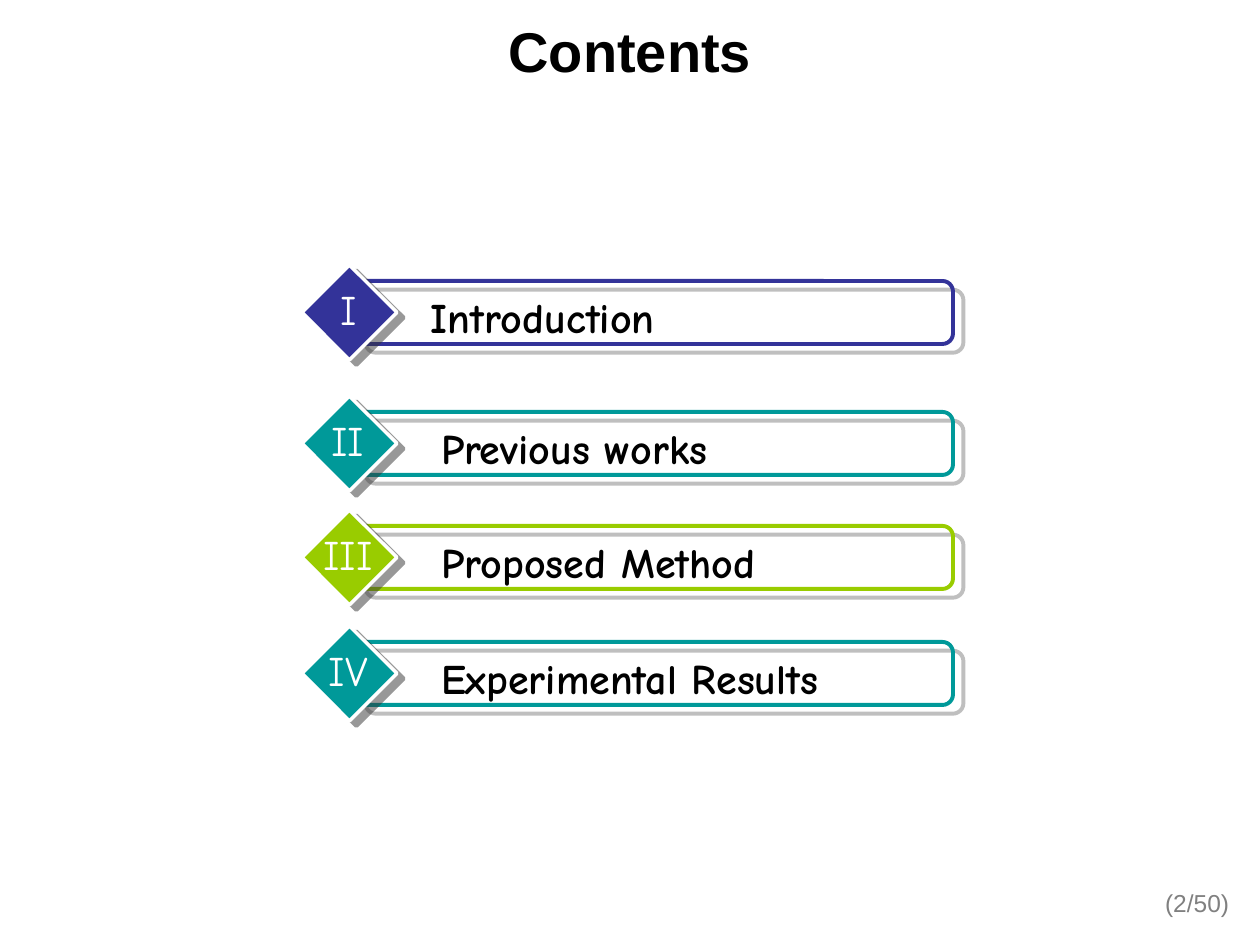
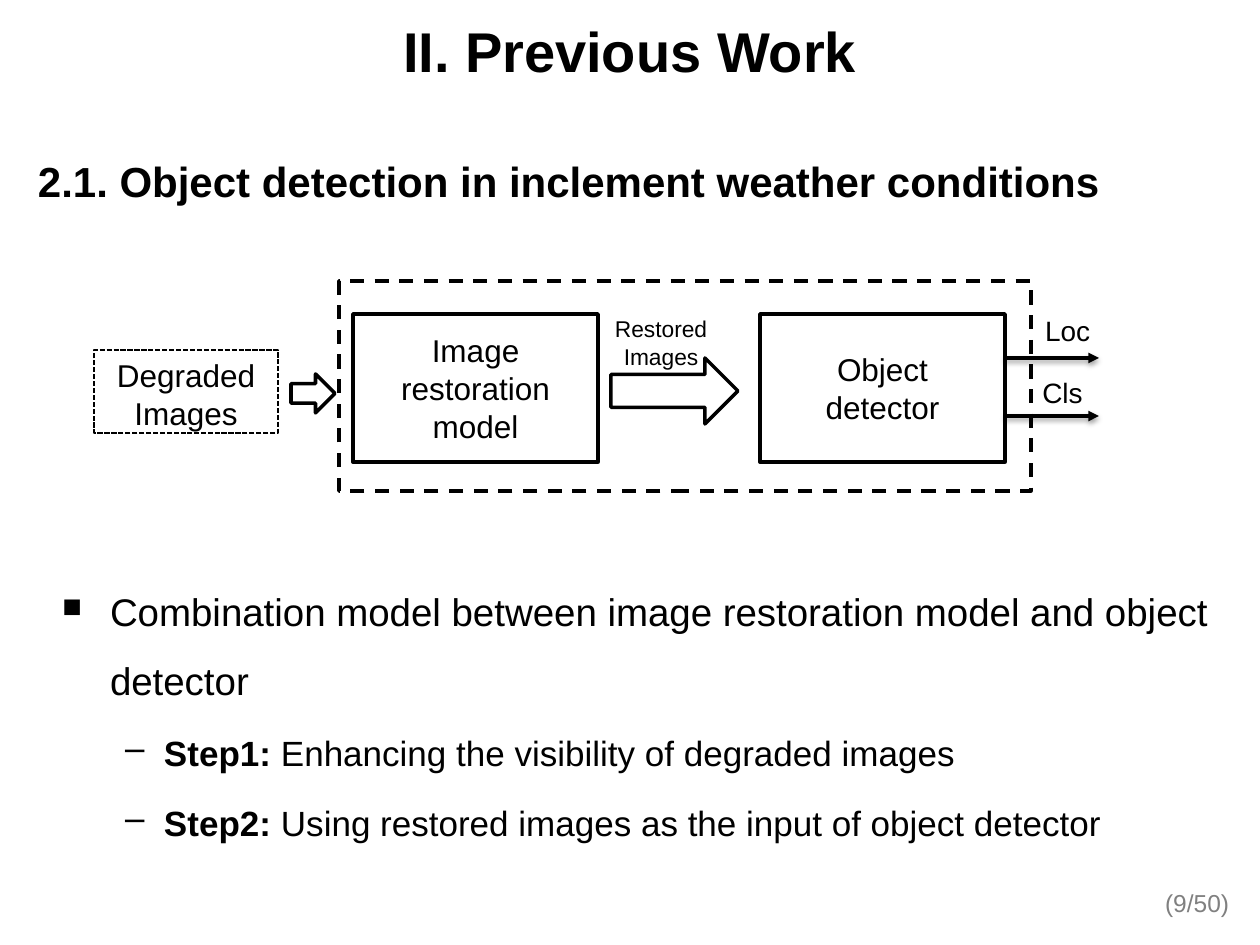
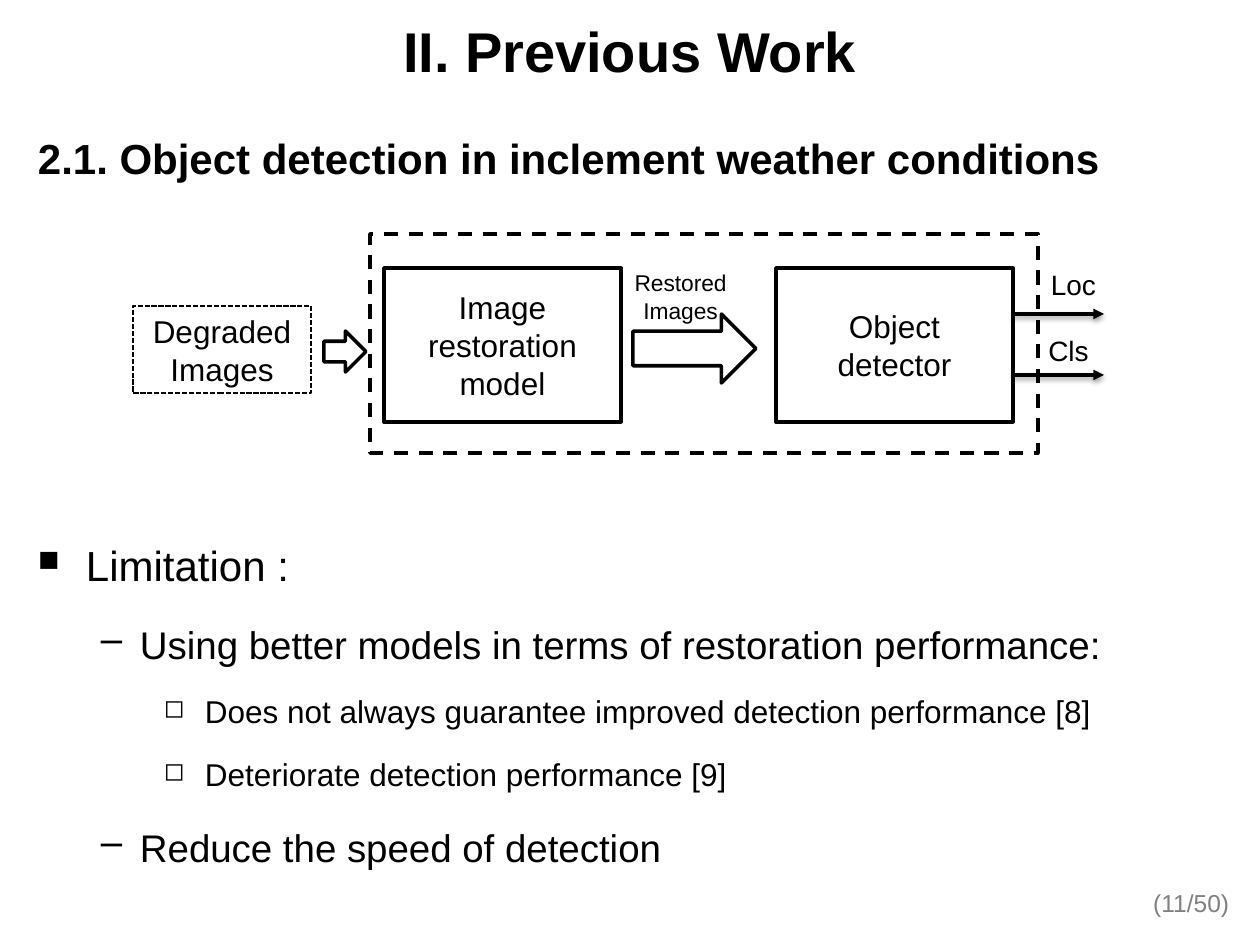
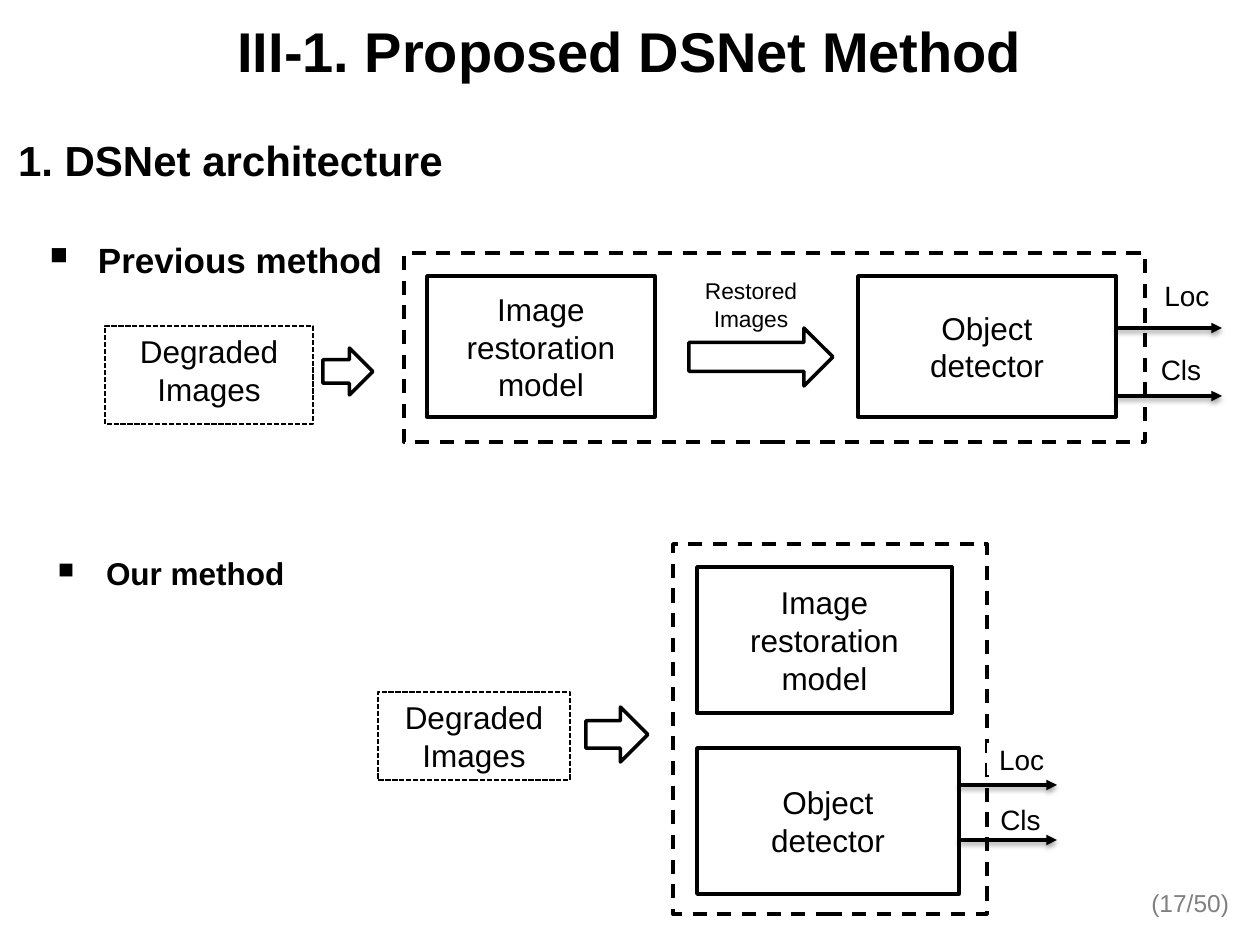
from lxml.etree import SubElement
from pptx import Presentation
from pptx.dml.color import RGBColor
from pptx.enum.dml import MSO_LINE as Dash
from pptx.enum.shapes import MSO_CONNECTOR as Connector, MSO_SHAPE as Shape
from pptx.enum.text import MSO_ANCHOR as Anchor, PP_ALIGN as Align
from pptx.oxml.ns import qn
from pptx.util import Emu, Pt

BLACK = RGBColor(0x00, 0x00, 0x00)
WHITE = RGBColor(0xFF, 0xFF, 0xFF)
GRAY = RGBColor(0x80, 0x80, 0x80)
DARK_GRAY = RGBColor(0x33, 0x33, 0x33)
INDIGO = RGBColor(0x33, 0x33, 0x99)
TEAL = RGBColor(0x00, 0x99, 0x99)
LIME = RGBColor(0x99, 0xCC, 0x00)

SANS = "Arial"
COMIC = "Comic Neue"
PAGE_COUNT = 50
PX_PER_INCH = 126
DEFAULT_INSETS = (13, 6, 13, 6)

BAR_SHADOW = (GRAY, 50, 0, 7.8, 40)
DIAMOND_SHADOW = (DARK_GRAY, 50, 0, 5, 37)
ARROW_SHADOW = (BLACK, 38, 3.1, 1.6, 90)

CONTENTS = [
    ("I", "Introduction", INDIGO, 265, 418, 49),
    ("II", "Previous works", TEAL, 396, 428, 72),
    ("III", "Proposed Method", LIME, 510, 428, 94),
    ("IV", "Experimental Results", TEAL, 626, 428, 77),
]

BULLETS = [("■", 70, 48, -48), ("–", 100, 102, -39), ("◻", 80, 167, -41)]

WEATHER_HEADING = "2.1. Object detection in inclement weather conditions"

COMBINATION = [
    (0, 22, ["Combination model between image restoration model and object detector"]),
    (1, 20, ["Step1: ", "Enhancing the visibility of degraded images"]),
    (1, 20, ["Step2: ", "Using restored images as the input of object detector"]),
]
LIMITATION = [
    (0, 24, ["Limitation :"]),
    (1, 22, ["Using better models in terms of restoration performance:"]),
    (2, 18, ["Does not always guarantee improved detection performance [8]"]),
    (2, 18, ["Deteriorate detection performance [9]"]),
    (1, 22, ["Reduce the speed of detection"]),
]

PART_STYLES = {
    "frame": dict(line=(BLACK, 2, Dash.DASH)),
    "degraded": dict(lines=["Degraded Images"], line=(BLACK, 1, Dash.SQUARE_DOT),
                     anchor=Anchor.TOP),
    "detector": dict(lines=["Object", "detector"], line=(BLACK, 2, None)),
    "caption": dict(lines=["Restored Images"], size=13, anchor=Anchor.TOP),
    "restoration": dict(lines=["Image restoration model"], line=(BLACK, 2, None)),
    "input": dict(kind=Shape.RIGHT_ARROW, line=(BLACK, 2, None)),
    "restored": dict(kind=Shape.RIGHT_ARROW, line=(BLACK, 2, None)),
    "loc_arrow": None,
    "cls_arrow": None,
    "loc": dict(lines=["Loc"], size=16, insets=(0, 0, 0, 0)),
    "cls": dict(lines=["Cls"], size=16, insets=(0, 0, 0, 0)),
}

PIPELINE = {
    "frame": (339, 281, 692, 210),
    "degraded": (94, 350, 184, 83),
    "detector": (760, 314, 245, 148),
    "caption": (593, 309, 136, 45),
    "restoration": (353, 314, 245, 148),
    "input": (291, 374, 44, 39),
    "restored": (611, 358, 127, 66),
    "loc_arrow": (1005, 358, 94, 0),
    "cls_arrow": (1005, 416, 94, 0),
    "loc": (1034, 314, 67, 32),
    "cls": (1040, 378, 45, 29),
}
LIMITATION_FRAME = (370, 234, 668, 219)
PREVIOUS_METHOD = {
    "frame": (404, 253, 741, 189),
    "degraded": (105, 326, 208, 98),
    "detector": (858, 276, 258, 141),
    "caption": (674, 271, 154, 54),
    "restoration": (427, 276, 228, 141),
    "input": (323, 348, 50, 47),
    "restored": (689, 328, 144, 58),
    "loc_arrow": (1116, 328, 106, 0),
    "cls_arrow": (1116, 396, 106, 0),
    "loc": (1149, 276, 76, 38),
    "cls": (1155, 352, 52, 34),
}
OUR_METHOD = {
    "frame": (673, 544, 314, 370),
    "degraded": (378, 692, 192, 88),
    "detector": (697, 748, 262, 146),
    "restoration": (697, 567, 255, 146),
    "input": (586, 707, 62, 55),
    "loc_arrow": (959, 785, 98, 0),
    "cls_arrow": (959, 840, 98, 0),
    "loc": (987, 743, 69, 32),
    "cls": (997, 805, 47, 29),
}


def px(length):
    return Emu(round(length * 914400 / PX_PER_INCH))


def place(box):
    return [px(length) for length in box]


def style_font(paragraph, size, color=BLACK, bold=False, name=SANS):
    font = paragraph.font
    font.size, font.bold, font.name = Pt(size), bold, name
    font.color.rgb = color


def set_frame(frame, anchor, insets, wrap=True):
    frame.word_wrap = wrap
    frame.vertical_anchor = anchor
    (frame.margin_left, frame.margin_top,
     frame.margin_right, frame.margin_bottom) = place(insets)


def write_lines(frame, lines, size, align=Align.LEFT, **font):
    for index, line in enumerate(lines):
        paragraph = frame.add_paragraph() if index else frame.paragraphs[0]
        paragraph.text = line
        paragraph.alignment = align
        style_font(paragraph, size, **font)


def add_text(parent, box, text, size, align=Align.LEFT, anchor=Anchor.TOP,
             insets=DEFAULT_INSETS, wrap=True, **font):
    frame = parent.shapes.add_textbox(*place(box)).text_frame
    set_frame(frame, anchor, insets, wrap)
    write_lines(frame, [text], size, align, **font)
    return frame


def add_shadow(shape, color, opacity, blur, distance, angle):
    properties = shape._element.spPr
    effects = properties.find(qn("a:effectLst"))
    if effects is None:
        effects = SubElement(properties, qn("a:effectLst"))
    shadow = SubElement(effects, qn("a:outerShdw"), blurRad=str(Pt(blur)),
                        dist=str(Pt(distance)), dir=str(angle * 60000),
                        algn="ctr", rotWithShape="0")
    tint = SubElement(shadow, qn("a:srgbClr"), val=str(color))
    SubElement(tint, qn("a:alpha"), val=str(opacity * 1000))


def add_shape(parent, box, kind=Shape.RECTANGLE, fill=WHITE, line=None, lines=(),
              size=18, anchor=Anchor.MIDDLE, insets=DEFAULT_INSETS, shadow=None):
    shape = parent.shapes.add_shape(kind, *place(box))
    shape.shadow.inherit = False
    if fill is None:
        shape.fill.background()
    else:
        shape.fill.solid()
        shape.fill.fore_color.rgb = fill
    if line:
        color, width, dash = line
        shape.line.color.rgb = color
        shape.line.width = Pt(width)
        shape.line.dash_style = dash
    else:
        shape.line.fill.background()
    if shadow:
        add_shadow(shape, *shadow)
    if lines:
        set_frame(shape.text_frame, anchor, insets)
        write_lines(shape.text_frame, lines, size, Align.CENTER)


def add_arrow(parent, box):
    left, top, width, height = box
    arrow = parent.shapes.add_connector(
        Connector.STRAIGHT, *place((left, top, left + width, top + height)))
    arrow.line.color.rgb = BLACK
    arrow.line.width = Pt(2)
    SubElement(arrow.line._get_or_add_ln(), qn("a:tailEnd"), type="triangle")
    add_shadow(arrow, *ARROW_SHADOW)


def add_diagram(slide, parts):
    group = slide.shapes.add_group_shape()
    for name, style in PART_STYLES.items():
        if name not in parts:
            continue
        if style is None:
            add_arrow(group, parts[name])
        else:
            add_shape(group, parts[name], **style)


def fit_diagram(parts, target):
    left, top, width, height = parts["frame"]
    scale_x, scale_y = target[2] / width, target[3] / height
    return {
        name: (round(target[0] + (x - left) * scale_x),
               round(target[1] + (y - top) * scale_y),
               round(w * scale_x), round(h * scale_y))
        for name, (x, y, w, h) in parts.items()
    }


def add_bullets(slide, box, items, bold=False):
    frame = slide.shapes.add_textbox(*place(box)).text_frame
    set_frame(frame, Anchor.MIDDLE, DEFAULT_INSETS)
    for index, (level, size, texts) in enumerate(items):
        paragraph = frame.add_paragraph() if index else frame.paragraphs[0]
        paragraph.level = level
        paragraph.line_spacing = 1.5
        if index:
            paragraph.space_before = Pt(round(size * 0.2, 1))
        mark, percent, margin, indent = BULLETS[level]
        properties = paragraph._p.get_or_add_pPr()
        properties.set("marL", str(px(margin)))
        properties.set("indent", str(px(indent)))
        SubElement(properties, qn("a:buSzPct"), val=str(percent * 1000))
        SubElement(properties, qn("a:buChar"), char=mark)
        style_font(paragraph, size, bold=bold)
        for text in texts:
            paragraph.add_run().text = text
        if len(texts) > 1:
            paragraph.runs[0].font.bold = True


def add_heading(slide, box, text):
    frame = add_text(slide, box, text, 24, anchor=Anchor.MIDDLE, bold=True)
    frame.paragraphs[0].line_spacing = 1.5


def add_slide(presentation, title, page):
    slide = presentation.slides.add_slide(presentation.slide_layouts[6])
    add_text(slide, (1137, 876, 112, 66), f"({page}/{PAGE_COUNT}) ", 14, Align.RIGHT,
             insets=(0, 12, 13, 6), color=GRAY)
    add_text(slide, (0, 0, 1260, 100), title, 32, Align.CENTER, Anchor.MIDDLE, bold=True)
    return slide


def add_contents(slide):
    for numeral, label, color, top, label_left, numeral_width in CONTENTS:
        group = slide.shapes.add_group_shape()
        add_shape(group, (355, top + 16, 598, 63), Shape.ROUNDED_RECTANGLE, None,
                  (color, 2.25, None), shadow=BAR_SHADOW)
        add_shape(group, (302, top, 95, 95), Shape.DIAMOND, color,
                  (WHITE, 2, None), shadow=DIAMOND_SHADOW)
        add_text(group, (label_left, top + 21, 472, 64), label, 24, bold=True, name=COMIC)
        add_text(group, (348 - numeral_width // 2, top + 13, numeral_width, 64), numeral, 24,
                 Align.CENTER, wrap=False, color=WHITE, name=COMIC)


def main():
    presentation = Presentation()
    presentation.slide_width, presentation.slide_height = px(1260), px(945)

    add_contents(add_slide(presentation, "Contents", 2))

    combination = add_slide(presentation, "II. Previous Work", 9)
    add_heading(combination, (25, 127, 1211, 82), WEATHER_HEADING)
    add_diagram(combination, PIPELINE)
    add_bullets(combination, (49, 520, 1188, 368), COMBINATION)

    limitation = add_slide(presentation, "II. Previous Work", 11)
    add_bullets(limitation, (25, 455, 1211, 474), LIMITATION)
    add_heading(limitation, (25, 104, 1211, 82), WEATHER_HEADING)
    add_diagram(limitation, fit_diagram(PIPELINE, LIMITATION_FRAME))

    method = add_slide(presentation, "III-1. Proposed DSNet Method", 17)
    add_bullets(method, (45, 530, 383, 67), [(0, 18, ["Our method"])], bold=True)
    add_diagram(method, {**OUR_METHOD})
    add_bullets(method, (37, 214, 368, 69), [(0, 20, ["Previous method"])], bold=True)
    add_diagram(method, PREVIOUS_METHOD)
    add_heading(method, (5, 106, 486, 82), "1. DSNet architecture")

    presentation.save("out.pptx")


if __name__ == "__main__":
    main()
